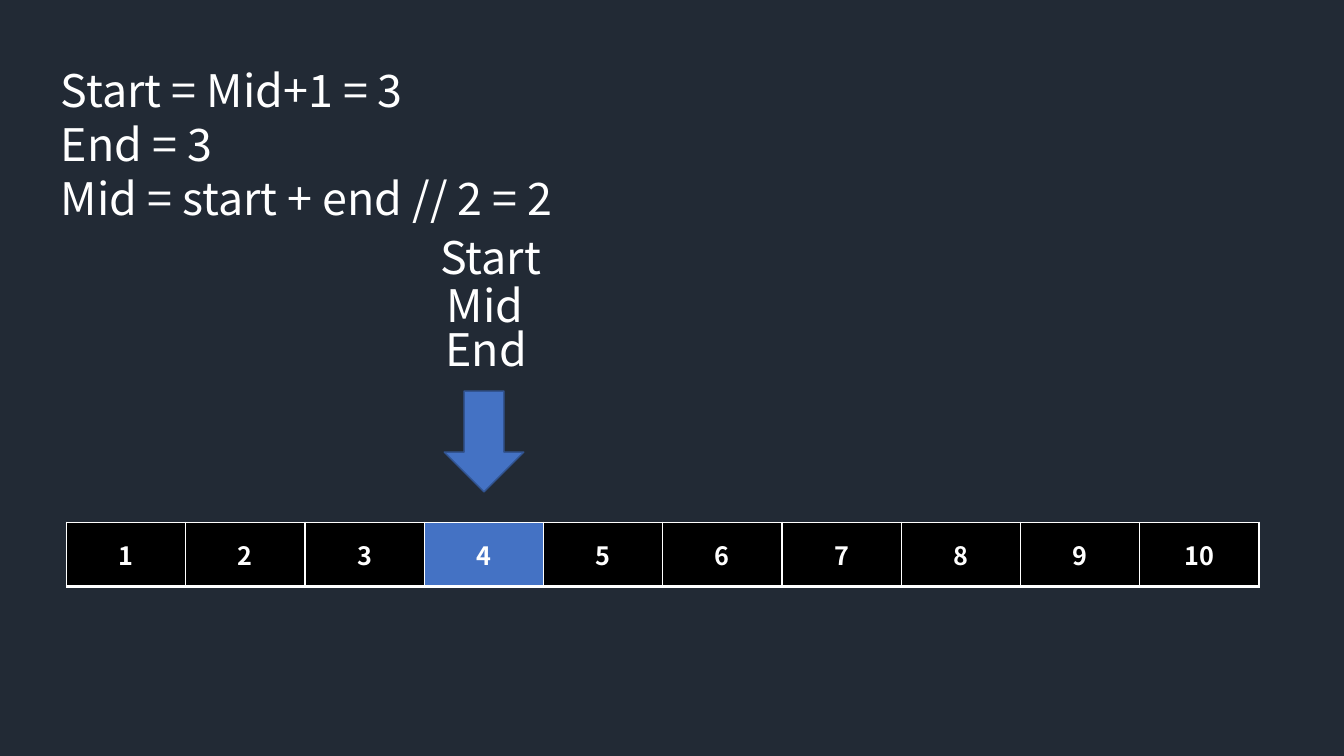
import pptx
import pptx.dml.color
import pptx.enum.shapes
import pptx.enum.text
import pptx.oxml
import pptx.oxml.ns
import pptx.util
from dataclasses import dataclass

WIDTH = pptx.util.Inches(13.33)
HEIGHT = pptx.util.Inches(7.5)
CELL_WIDTH = pptx.util.Inches(1.183)
ARRAY_LEFT = pptx.util.Inches(0.66)
ARRAY_TOP = pptx.util.Inches(5.18)
ROW_HEIGHT = pptx.util.Inches(0.64)
VALUES = range(1, 11)
CURRENT_INDEX = 3


@dataclass(frozen=True)
class Theme:
    font: str = "Noto Sans CJK KR"
    background: str = "222A35"
    text: str = "FFFFFF"
    cell: str = "000000"
    accent: str = "4472C4"
    outline: str = "325491"
    label_size: int = 32
    value_size: int = 18


THEME = Theme()


def paint(fill, color):
    fill.solid()
    fill.fore_color.rgb = pptx.dml.color.RGBColor.from_string(color)


def format_paragraph(paragraph, size, bold=False):
    paragraph.font.name = THEME.font
    paragraph.font.size = pptx.util.Pt(size)
    paragraph.font.bold = bold
    paragraph.font.color.rgb = pptx.dml.color.RGBColor.from_string(THEME.text)


def add_text(slide, lines, left, top, width, height):
    box = slide.shapes.add_textbox(left, top, width, height)
    frame = box.text_frame
    frame.word_wrap = True
    frame.auto_size = pptx.enum.text.MSO_AUTO_SIZE.SHAPE_TO_FIT_TEXT
    frame.text = "\n".join(lines)
    for paragraph in frame.paragraphs:
        paragraph.line_spacing = pptx.util.Pt(38.6)
        format_paragraph(paragraph, THEME.label_size)


def add_borders(cell):
    properties = cell._tc.get_or_add_tcPr()
    namespace = pptx.oxml.ns.nsdecls("a")
    for position, (side, points) in enumerate(zip("LRTB", (1, 1, 1, 3))):
        border = pptx.oxml.parse_xml(
            f'<a:ln{side} {namespace} w="{pptx.util.Pt(points)}"><a:solidFill>'
            f'<a:srgbClr val="{THEME.text}"/></a:solidFill></a:ln{side}>'
        )
        properties.insert(position, border)


def add_array(slide):
    table = slide.shapes.add_table(
        1, len(VALUES), ARRAY_LEFT, ARRAY_TOP, CELL_WIDTH * len(VALUES), ROW_HEIGHT
    ).table
    for index, value in enumerate(VALUES):
        table.columns[index].width = CELL_WIDTH
        cell = table.cell(0, index)
        cell.text = str(value)
        cell.vertical_anchor = pptx.enum.text.MSO_ANCHOR.MIDDLE
        paint(cell.fill, THEME.accent if index == CURRENT_INDEX else THEME.cell)
        add_borders(cell)
        paragraph = cell.text_frame.paragraphs[0]
        paragraph.alignment = pptx.enum.text.PP_ALIGN.CENTER
        format_paragraph(paragraph, THEME.value_size, bold=True)


def add_pointer(slide):
    width = int(CELL_WIDTH * 2 / 3)
    center = ARRAY_LEFT + int(CELL_WIDTH * (CURRENT_INDEX + 0.5))
    arrow = slide.shapes.add_shape(
        pptx.enum.shapes.MSO_SHAPE.DOWN_ARROW,
        center - width // 2,
        ARRAY_TOP - pptx.util.Inches(1.3),
        width,
        pptx.util.Inches(1),
    )
    arrow.shadow.inherit = False
    paint(arrow.fill, THEME.accent)
    paint(arrow.line.fill, THEME.outline)
    arrow.line.width = pptx.util.Pt(1)


def main():
    presentation = pptx.Presentation()
    presentation.slide_width = WIDTH
    presentation.slide_height = HEIGHT
    slide = presentation.slides.add_slide(presentation.slide_layouts[6])
    paint(slide.background.fill, THEME.background)
    add_array(slide)
    formulas = ["Start = Mid+1 = 3", "End = 3", "Mid = start + end // 2 = 2"]
    add_text(slide, formulas, int(WIDTH * 0.038), int(HEIGHT * 0.076),
             int(WIDTH * 0.52), int(HEIGHT * 0.23))
    for label, left, top in (
        ("Start", 0.32, 0.297),
        ("Mid", 0.325, 0.361),
        ("End", 0.324, 0.419),
    ):
        add_text(slide, [label], int(WIDTH * left), int(HEIGHT * top),
                 int(WIDTH * 0.093), ROW_HEIGHT)
    add_pointer(slide)
    presentation.save("out.pptx")


if __name__ == "__main__":
    main()
